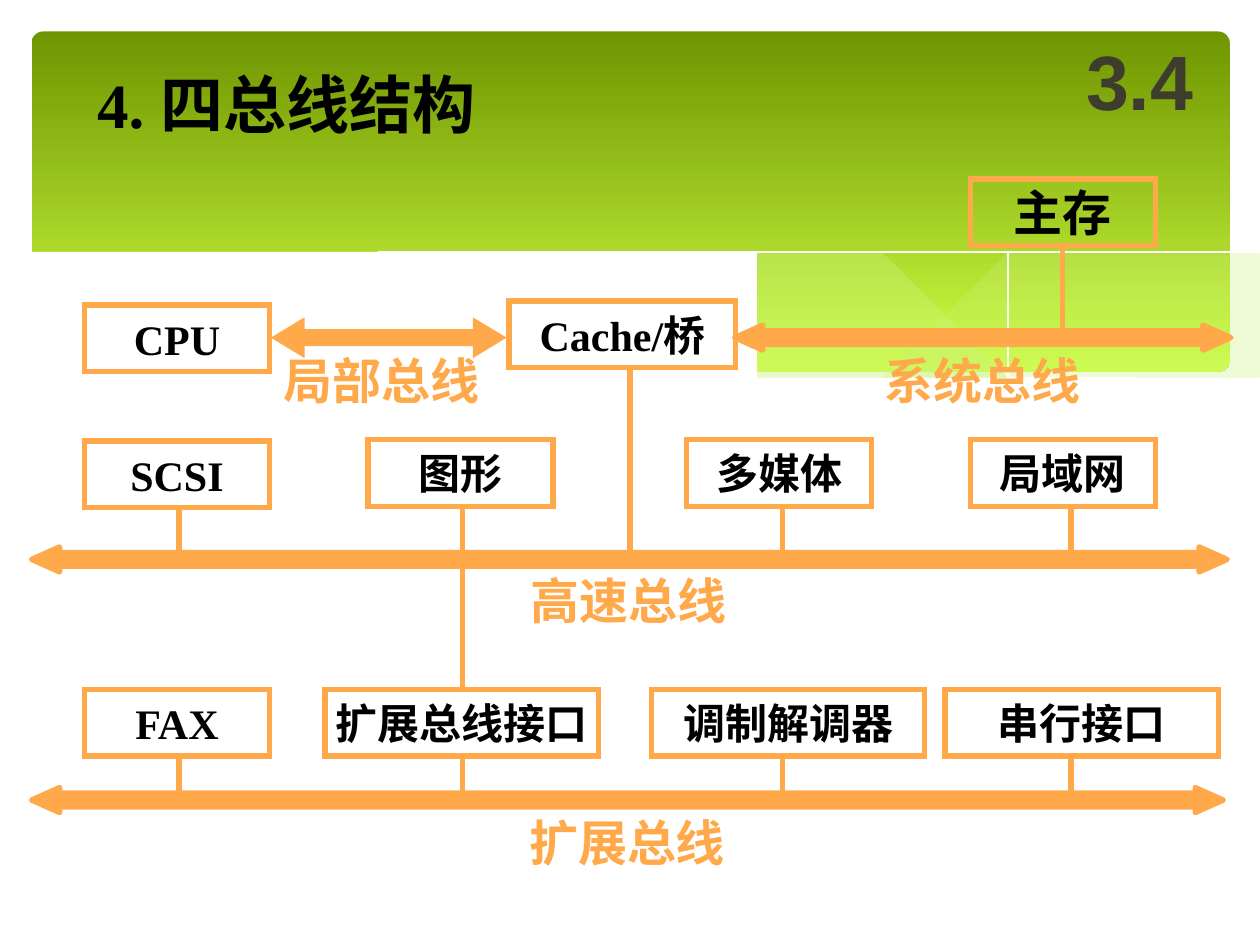
import pptx
import pptx.util
import pptx.dml.color
import pptx.enum.dml
import pptx.enum.shapes
import pptx.enum.text
import pptx.oxml.ns
import lxml.etree

Inches, Pt = pptx.util.Inches, pptx.util.Pt
KIND = pptx.enum.shapes.MSO_SHAPE
ALIGN = pptx.enum.text.PP_ALIGN
MID = pptx.enum.text.MSO_ANCHOR.MIDDLE
TOP = pptx.enum.text.MSO_ANCHOR.TOP

THEME = {
    "orange": "FFA94A", "black": "000000", "grey": "3E3D2D", "white": "FFFFFF",
    "dark": "6F9500", "light": "D0FF44", "wave": "CAF278",
    "cjk": "Noto Sans CJK SC", "serif": "Times New Roman", "sans": "Arial",
    "title": 36, "label": 28, "box": 24, "number": 44, "line": 3,
}

# Content: text, left, top, width, font, size
BOX_H = 0.53
BOXES = [
    ("CPU", 0.67, 2.42, 1.47, "serif", "box"),
    ("Cache/桥", 4.04, 2.39, 1.8, "serif", "box"),
    ("主存", 7.7, 1.42, 1.47, "cjk", "label"),
    ("SCSI", 0.67, 3.5, 1.47, "serif", "box"),
    ("图形", 2.92, 3.49, 1.47, "cjk", "box"),
    ("多媒体", 5.45, 3.49, 1.47, "cjk", "box"),
    ("局域网", 7.7, 3.49, 1.47, "cjk", "box"),
    ("FAX", 0.67, 5.47, 1.47, "serif", "box"),
    ("扩展总线接口", 2.58, 5.47, 2.17, "cjk", "box"),
    ("调制解调器", 5.17, 5.47, 2.17, "cjk", "box"),
    ("串行接口", 7.5, 5.47, 2.17, "cjk", "box"),
]
# Buses: name, name left and top, arrow left, right, middle
BUSES = [
    ("系统总线", 7.02, 2.78, 5.83, 9.77, 2.68),
    ("高速总线", 4.21, 4.53, 0.25, 9.74, 4.44),
    ("扩展总线", 4.2, 6.45, 0.25, 9.71, 6.35),
]
LOCAL = ("局部总线", 2.25, 2.78, 2.19, 3.98, 2.68)
# Links: x, top, bottom
DROPS = (1.42, 3.67, 6.21, 8.5)
LINKS = [(x, y, y + 0.4) for y in (4.02, 6) for x in DROPS]
LINKS += [(8.43, 1.95, 2.67), (5, 2.92, 4.4), (3.67, 4.47, 5.47)]

# Banner waves: knots of smooth curves
RIGHT = [
    [(9.76, 2), (9.21, 2.1), (8.61, 2.23), (7.53, 2.48), (6.61, 2.65)],
    [(6.61, 2.65), (7.32, 2.74), (8.03, 2.78), (8.72, 2.74), (9.28, 2.63), (9.76, 2.47)],
]
CENTRE = [
    [(8.93, 2.73), (8.07, 2.6), (7.06, 2.4), (6.29, 2.22), (5.41, 2.03), (4.64, 1.91),
     (3.8, 1.85), (3.28, 1.87), (2.86, 1.91)],
    [(2.86, 1.91), (3.62, 2.03), (4.49, 2.22), (5.3, 2.4), (6.34, 2.61), (7.22, 2.74),
     (8.07, 2.79), (8.57, 2.77), (8.93, 2.73)],
]
FALL = [(3.09, 1.95), (3.53, 1.89), (4.16, 1.87), (4.89, 1.9), (5.82, 2), (6.95, 2.19),
        (7.95, 2.42), (9.07, 2.72)]
RISE = [(6.13, 2.57), (6.95, 2.35), (7.76, 2.16), (8.66, 1.99), (9.24, 1.9), (9.75, 1.85)]
FRONT = [(9.77, 2.46), (9.3, 2.62), (8.75, 2.73), (8.09, 2.77), (7.26, 2.72), (6.47, 2.62),
         (5.55, 2.45), (4.47, 2.2), (3.65, 2.02), (2.92, 1.9), (2.3, 1.85), (1.76, 1.84),
         (1.19, 1.87), (0.75, 1.95), (0.46, 2.03), (0.23, 2.13)]


def tint(name):
    return pptx.dml.color.RGBColor.from_string(THEME[name])


def add_tag(base, name, **attrs):
    tag = pptx.oxml.ns.qn("a:" + name)
    return lxml.etree.SubElement(base, tag, attrs)


def paint(shape, fill=None, line=None, width=THEME["line"], sharp=False):
    shape.shadow.inherit = False
    if fill:
        shape.fill.solid()
        shape.fill.fore_color.rgb = tint(fill)
    else:
        shape.fill.background()
    if not line:
        shape.line.fill.background()
        return
    shape.line.color.rgb = tint(line)
    shape.line.width = Pt(width)
    if sharp:
        add_tag(shape.line.fill._xPr, "miter", lim="800000")


def write(shape, text, face, size, color, align=ALIGN.LEFT, anchor=TOP, pad=(0, 0), wrap=False):
    frame = shape.text_frame
    frame.text = text
    frame.word_wrap = wrap
    frame.auto_size = pptx.enum.text.MSO_AUTO_SIZE.NONE
    frame.vertical_anchor = anchor
    frame.margin_left = frame.margin_right = Inches(pad[0])
    frame.margin_top = frame.margin_bottom = Inches(pad[1])
    para = frame.paragraphs[0]
    para.alignment = align
    for run in para.runs:
        font = run.font
        font.size, font.bold, font.name = Pt(THEME[size]), True, THEME[face]
        font.color.rgb = tint(color)
        add_tag(run._r.get_or_add_rPr(), "ea", typeface=THEME["cjk"])


def smooth(knots, steps=6):
    """Points of a Catmull-Rom curve through the knots."""
    ends = [knots[0], *knots, knots[-1]]
    dots = [knots[0]]
    for a, b, c, d in zip(ends, ends[1:], ends[2:], ends[3:]):
        for i in range(1, steps + 1):
            t = i / steps
            dots.append(tuple(
                (2 * q + (r - p) * t + (2 * p - 5 * q + 4 * r - s) * t ** 2
                 + (3 * q - p - 3 * r + s) * t ** 3) / 2
                for p, q, r, s in zip(a, b, c, d)))
    return dots


def trace(dots, close=True):
    pen = shapes.build_freeform(*dots[0], scale=Inches(1))
    pen.add_line_segments(dots[1:], close=close)
    return pen.convert_to_shape()


def add_arrow(left, right, mid, high, shaft, head, sharp=False):
    arrow = shapes.add_shape(KIND.LEFT_RIGHT_ARROW, Inches(left), Inches(mid - high / 2),
                             Inches(right - left), Inches(high))
    arrow.adjustments[0], arrow.adjustments[1] = shaft, head
    paint(arrow, "orange", "orange", sharp=sharp)


deck = pptx.Presentation()
deck.slide_width, deck.slide_height = Inches(10), Inches(7.5)
slide = deck.slides.add_slide(deck.slide_layouts[5])
shapes = slide.shapes

# Green banner
banner = shapes.add_shape(KIND.ROUNDED_RECTANGLE, Inches(0.25), Inches(0.25),
                          Inches(9.51), Inches(2.7))
banner.adjustments[0] = 0.034
paint(banner)
banner.fill.gradient()
banner.fill.gradient_angle = 270
for stop, name in zip(banner.fill.gradient_stops, ("dark", "light")):
    stop.color.rgb = tint(name)

# Waves and hairlines
for sides, alpha in ((RIGHT, 29), (CENTRE, 40)):
    wave = trace([dot for side in sides for dot in smooth(side)])
    paint(wave, "wave")
    color = wave.fill._xPr.find(".//" + pptx.oxml.ns.qn("a:srgbClr"))
    add_tag(color, "alpha", val=str(alpha * 1000))
for knots in (FALL, RISE):
    paint(trace(smooth(knots), close=False), line="white", width=0)
paint(trace(smooth(FRONT) + [(0.23, 3.29), (9.77, 3.29)]), "white")

# Title, raised above the banner, and section number
title = shapes.title
shapes.element.append(title.element)
title.left, title.top, title.width, title.height = map(Inches, (0.67, 0.47, 3.32, 0.7))
write(title, "4. 四总线结构", "serif", "title", "black", pad=(0.1, 0.05))
number = shapes.add_textbox(*map(Inches, (8.42, 0.17, 1.25, 0.92)))
write(number, "3.4", "sans", "number", "grey", ALIGN.CENTER, MID, (0.1, 0.05), True)

# Links
for x, top, foot in LINKS:
    link = shapes.add_connector(pptx.enum.shapes.MSO_CONNECTOR.STRAIGHT,
                                *map(Inches, (x, top, x, foot)))
    link.line.color.rgb = tint("orange")
    link.line.width = Pt(THEME["line"])
    add_tag(link.element.spPr, "effectLst")

# Buses and their names
for bus in BUSES:
    add_arrow(*bus[3:], high=0.2, shaft=0.55, head=1.12)
add_arrow(*LOCAL[3:], high=0.25, shaft=0.375, head=0.824, sharp=True)
for text, left, top, *_ in BUSES + [LOCAL]:
    label = shapes.add_textbox(*map(Inches, (left, top, 1.55, 0.47)))
    write(label, text, "cjk", "label", "orange")

# Boxes
for text, left, top, width, face, size in BOXES:
    box = shapes.add_shape(KIND.RECTANGLE, *map(Inches, (left, top, width, BOX_H)))
    paint(box, line="orange", sharp=True)
    write(box, text, face, size, "black", ALIGN.CENTER, MID)

deck.save("out.pptx")
